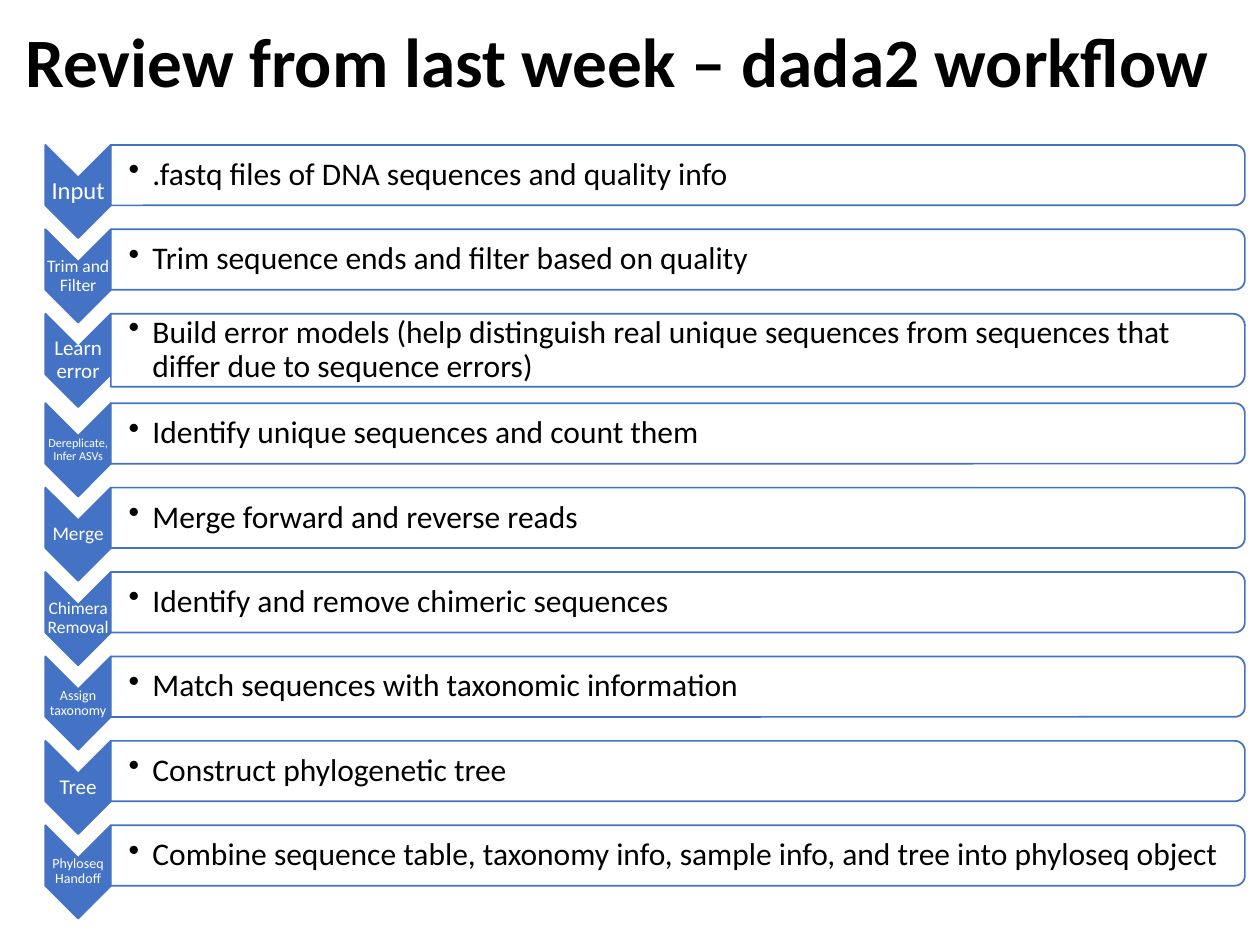
from dataclasses import dataclass

from lxml import etree
from pptx import Presentation
from pptx.dml.color import RGBColor
from pptx.enum import shapes, text
from pptx.oxml import ns
from pptx.util import Inches, Pt


@dataclass(frozen=True)
class Theme:
    font: str = "Calibri"
    accent: RGBColor = RGBColor(0x44, 0x72, 0xC4)
    paper: RGBColor = RGBColor(0xFF, 0xFF, 0xFF)
    ink: RGBColor = RGBColor(0, 0, 0)
    title_size: float = 39.6
    body_size: float = 18
    line_width: float = 1
    panel_alpha: int = 90


THEME = Theme()

STEPS = [
    ("Input", 14, ".fastq files of DNA sequences and quality info"),
    ("Trim and Filter", 10, "Trim sequence ends and filter based on quality"),
    ("Learn error", 12, "Build error models (help distinguish real unique sequences "
                        "from sequences that differ due to sequence errors)"),
    ("Dereplicate, Infer ASVs", 7, "Identify unique sequences and count them"),
    ("Merge", 11, "Merge forward and reverse reads"),
    ("Chimera Removal", 10, "Identify and remove chimeric sequences"),
    ("Assign taxonomy", 8, "Match sequences with taxonomic information"),
    ("Tree", 12, "Construct phylogenetic tree"),
    ("Phyloseq Handoff", 8, "Combine sequence table, taxonomy info, sample info, "
                            "and tree into phyloseq object"),
]
TALL_STEP = "Learn error"

CHEVRON_WIDTH, CHEVRON_HEIGHT = Inches(0.52), Inches(0.74)
LABEL_HEIGHT = Inches(0.22)
PANEL_HEIGHT, TALL_PANEL_HEIGHT = Inches(0.48), Inches(0.58)
STEP_PITCH, TALL_STEP_PITCH = Inches(0.67), Inches(0.71)
HAIR_INSET = Inches(0.01)


def format_para(para, size, color, align=text.PP_ALIGN.LEFT, bold=False):
    para.alignment = align
    para.line_spacing = 0.9
    para.font.name = THEME.font
    para.font.size = Pt(size)
    para.font.bold = bold
    para.font.color.rgb = color


def add_bullet(para, indent):
    props = para._p.get_or_add_pPr()
    props.set("marL", str(indent))
    props.set("indent", str(-indent))
    bullet = etree.SubElement(props, ns.qn("a:buChar"))
    bullet.set("char", "•")
    defaults = props.find(ns.qn("a:defRPr"))
    if defaults is not None:
        defaults.addprevious(bullet)


def add_turned_shape(page, kind, left, top, width, height, fill):
    shape = page.shapes.add_shape(
        kind, left + (width - height) // 2, top + (height - width) // 2, height, width)
    shape.rotation = 90
    shape.shadow.inherit = False
    shape.fill.solid()
    shape.fill.fore_color.rgb = fill
    shape.line.color.rgb = THEME.accent
    shape.line.width = Pt(THEME.line_width)
    return shape


def add_text(page, left, top, width, height, words, left_inset=HAIR_INSET):
    box = page.shapes.add_textbox(left, top, width, height)
    frame = box.text_frame
    frame.word_wrap = True
    frame.vertical_anchor = text.MSO_ANCHOR.MIDDLE
    frame.margin_left = left_inset
    frame.margin_top = frame.margin_right = frame.margin_bottom = HAIR_INSET
    frame.text = words
    return frame.paragraphs[0]


def add_title(page, left, top, width, height, words):
    title = page.shapes.title
    title.left, title.top, title.width, title.height = left, top, width, height
    frame = title.text_frame
    frame.text = words
    frame.auto_size = text.MSO_AUTO_SIZE.NONE
    frame.vertical_anchor = text.MSO_ANCHOR.MIDDLE
    format_para(frame.paragraphs[0], THEME.title_size, THEME.ink, bold=True)


def add_marker(page, left, top, label, size):
    add_turned_shape(page, shapes.MSO_SHAPE.CHEVRON, left, top,
                     CHEVRON_WIDTH, CHEVRON_HEIGHT, THEME.accent)
    label_top = top + (CHEVRON_HEIGHT - LABEL_HEIGHT) // 2
    para = add_text(page, left, label_top, CHEVRON_WIDTH, LABEL_HEIGHT, label)
    format_para(para, size, THEME.paper, text.PP_ALIGN.CENTER)


def add_panel(page, left, top, width, height, words):
    panel = add_turned_shape(page, shapes.MSO_SHAPE.ROUND_2_SAME_RECTANGLE,
                             left, top, width, height, THEME.paper)
    color = panel._element.spPr.find(ns.qn("a:solidFill"))[0]
    etree.SubElement(color, ns.qn("a:alpha")).set("val", str(THEME.panel_alpha * 1000))
    para = add_text(page, left, top, width - Inches(0.02), height, words, Inches(0.14))
    format_para(para, THEME.body_size, THEME.ink)
    add_bullet(para, Inches(0.19))


def add_workflow(page, left, top, width):
    for label, size, words in STEPS:
        tall = label == TALL_STEP
        add_marker(page, left, top, label, size)
        add_panel(page, left + CHEVRON_WIDTH, top, width - CHEVRON_WIDTH,
                  TALL_PANEL_HEIGHT if tall else PANEL_HEIGHT, words)
        top += TALL_STEP_PITCH if tall else STEP_PITCH


def main():
    deck = Presentation()
    deck.slide_width, deck.slide_height = Inches(10), Inches(7.5)
    page = deck.slides.add_slide(deck.slide_layouts[5])
    add_title(page, Inches(0.1), Inches(0.1), Inches(9.9), Inches(0.83),
              "Review from last week – dada2 workflow")
    add_workflow(page, Inches(0.36), Inches(1.15), Inches(9.52))
    deck.save("out.pptx")


if __name__ == "__main__":
    main()
